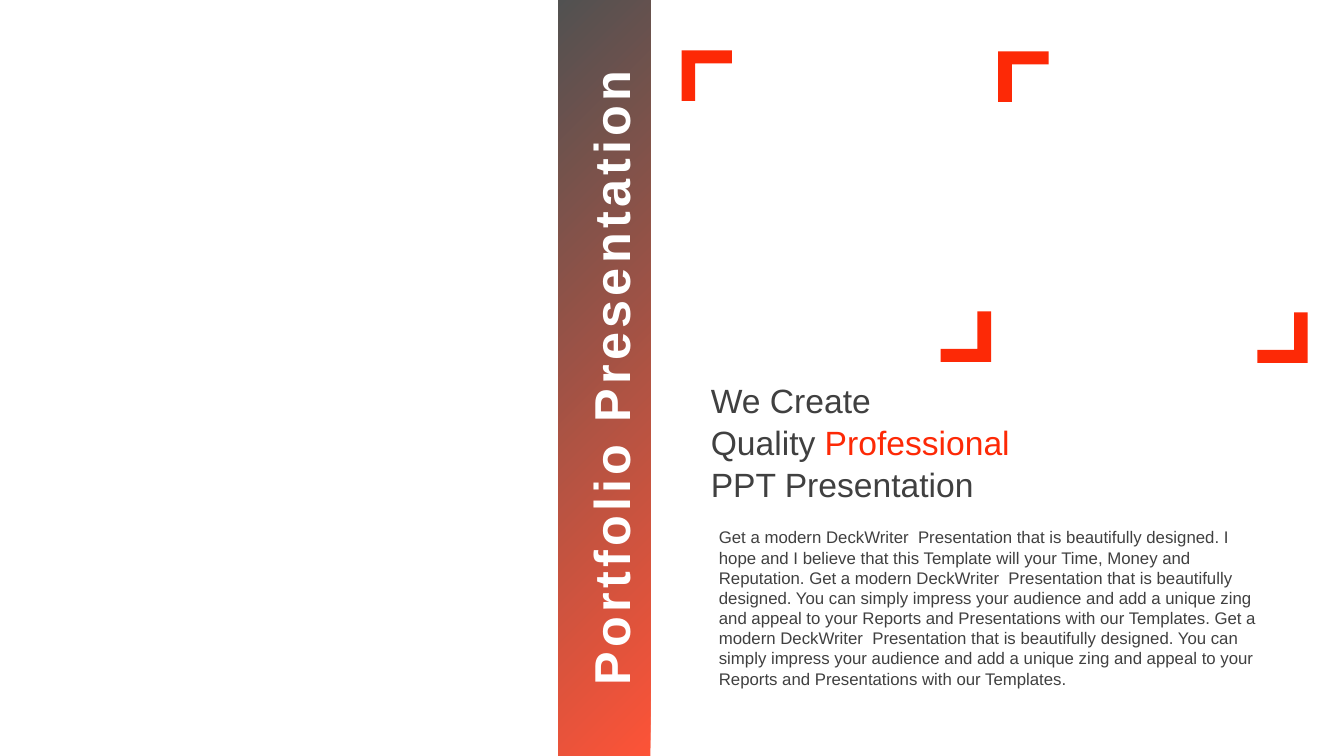
from lxml import etree
from pptx import Presentation
from pptx.dml.color import RGBColor
from pptx.enum.shapes import MSO_SHAPE as SHAPE
from pptx.enum.text import MSO_ANCHOR as ANCHOR, MSO_AUTO_SIZE as AUTO, PP_ALIGN as ALIGN
from pptx.oxml.ns import qn
from pptx.util import Inches, Pt

RED, GREY, DARK, WHITE = "FD2906", "404040", "262626", "FFFFFF"


def rgb(color):
    return RGBColor.from_string(color)


def place(s, left, top, width, height):
    s.left, s.top, s.width, s.height = map(Inches, (left, top, width, height))


prs = Presentation()
prs.slide_width, prs.slide_height = Inches(13.33), Inches(7.5)
slide = prs.slides.add_slide(prs.slide_layouts[1])
title, body = slide.placeholders
text_left = 7.01

# Heading: three lines, one word in red
place(title, text_left, 3.75, 3.17, 1.26)
tf = title.text_frame
tf.word_wrap, tf.auto_size, tf.vertical_anchor = True, AUTO.SHAPE_TO_FIT_TEXT, ANCHOR.TOP
tf.margin_left = tf.margin_right = Inches(0.04)
tf.margin_top = tf.margin_bottom = 0
lines = [[("We Create", GREY)],
         [("Quality ", GREY), ("Professional", RED)],
         [("PPT Presentation", GREY)]]
for i, line in enumerate(lines):
    p = tf.add_paragraph() if i else tf.paragraphs[0]
    p.alignment, p.line_spacing = ALIGN.LEFT, Pt(30)
    p.font.name, p.font.size = "Arial", Pt(24)
    for text, color in line:
        r = p.add_run()
        r.text = text
        r.font.color.rgb = rgb(color)

# Body paragraph without bullet
place(body, text_left, 5.18, 5.6, 1.72)
tf = body.text_frame
tf.word_wrap, tf.auto_size, tf.vertical_anchor = True, AUTO.SHAPE_TO_FIT_TEXT, ANCHOR.TOP
tf.margin_left = tf.margin_right = Inches(0.12)
tf.margin_top = tf.margin_bottom = Inches(0.05)
opening = "Get a modern DeckWriter  Presentation that is beautifully designed. "
praise = ("You can simply impress your audience and add a unique zing and appeal "
          "to your Reports and Presentations with our Templates.")
p = tf.paragraphs[0]
p.text = (opening + "I hope and I believe that this Template will your Time, Money and Reputation. "
          + opening + praise + " " + opening + praise)
p.space_before = 0
p.font.name, p.font.size, p.font.color.rgb = "Arial", Pt(12), rgb(GREY)
pPr = p._p.get_or_add_pPr()
pPr.set("marL", "0")
pPr.set("indent", "0")
pPr.insert_element_before(etree.Element(qn("a:buNone")), "a:tabLst", "a:defRPr", "a:extLst")

# Vertical band with a translucent gradient
band = slide.shapes.add_shape(SHAPE.RECTANGLE, 0, 0, 0, 0)
place(band, 5.54, 0, 0.91, 7.5)
band.shadow.inherit = False
band.line.fill.background()
band.fill.gradient()
band.fill.gradient_angle = 135
for stop, color in zip(band.fill.gradient_stops, (RED, DARK)):
    stop.color.rgb = rgb(color)
for clr in band._element.spPr.iter(qn("a:srgbClr")):
    etree.SubElement(clr, qn("a:alpha"), val="80000")

# Band caption, reading upwards
caption = slide.shapes.add_textbox(0, 0, 0, 0)
place(caption, 2.25, 3.39, 7.5, 0.72)
caption.rotation = 270
tf = caption.text_frame
tf.word_wrap, tf.auto_size = True, AUTO.SHAPE_TO_FIT_TEXT
p = tf.paragraphs[0]
p.alignment, p.line_spacing = ALIGN.CENTER, 1.1
r = p.add_run()
r.text = "Portfolio Presentation"
r.font.name, r.font.size, r.font.bold = "Arial", Pt(36), True
r.font.color.rgb = rgb(WHITE)
r._r.get_or_add_rPr().set("spc", "300")

# Corner marks: two frames, each with a top-left and a bottom-right mark
for left, top in ((6.76, 0.5), (9.9, 0.51)):
    for dx, dy, angle in ((0, 0, 90), (2.57, 2.59, 270)):
        mark = slide.shapes.add_shape(SHAPE.CORNER, 0, 0, 0, 0)
        place(mark, left + dx, top + dy, 0.5, 0.5)
        mark.rotation = angle
        mark.adjustments[0], mark.adjustments[1] = 0.27, 0.26
        mark.shadow.inherit = False
        mark.fill.solid()
        mark.fill.fore_color.rgb = rgb(RED)
        mark.line.fill.background()

prs.save("out.pptx")
